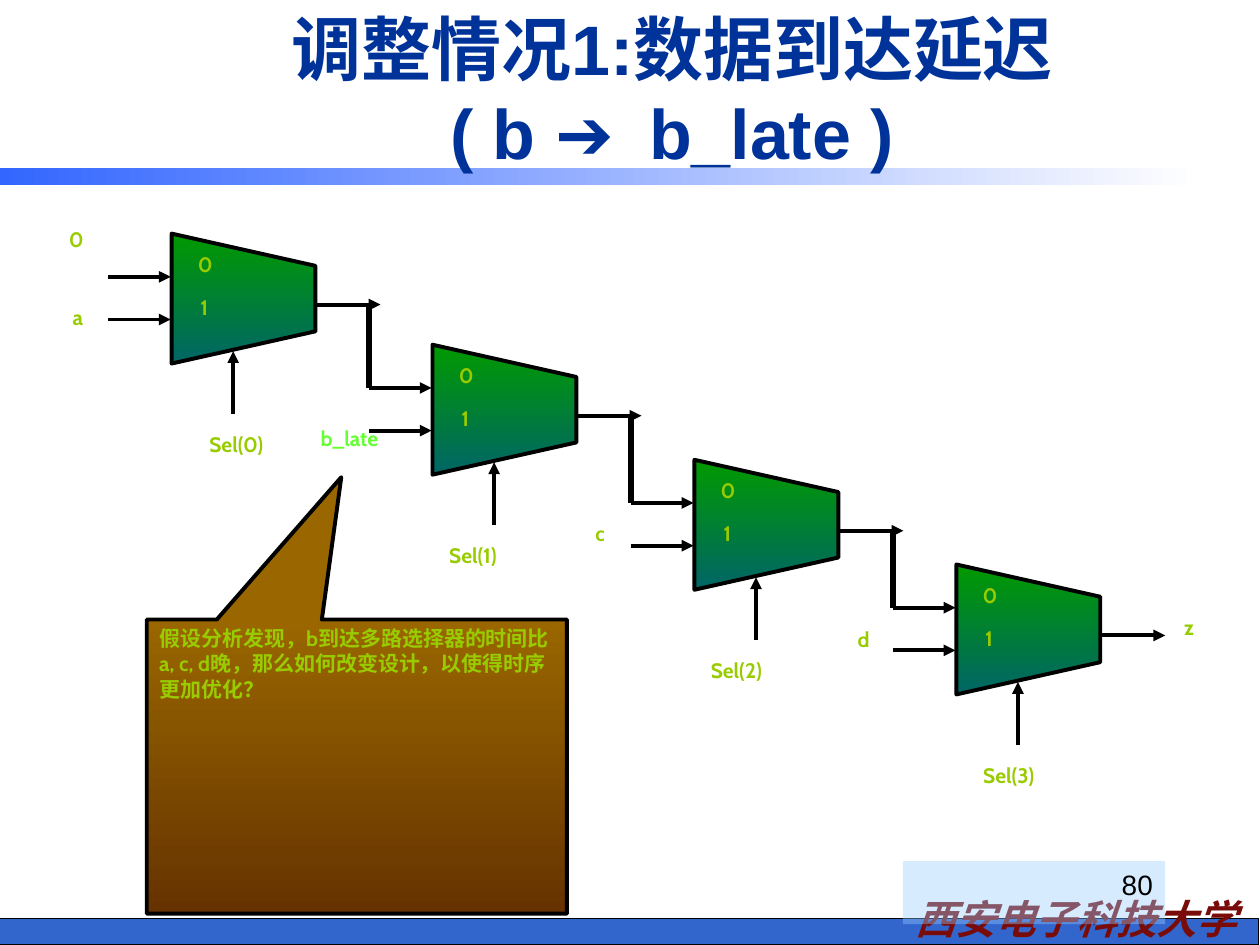
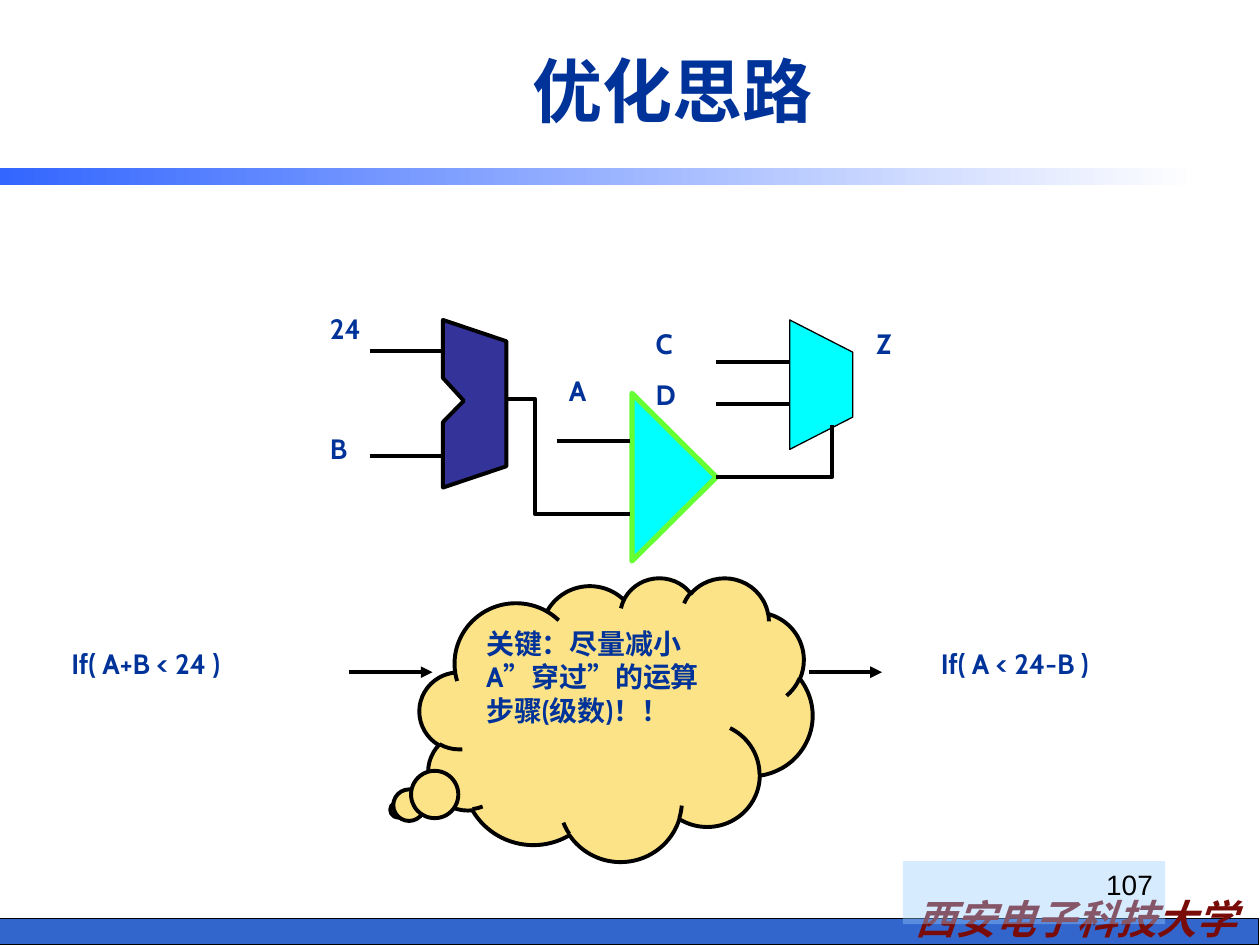
from dataclasses import dataclass
from lxml.etree import SubElement
from pptx import Presentation
from pptx.dml.color import RGBColor
from pptx.enum.shapes import MSO_CONNECTOR as Link, MSO_SHAPE as Kind
from pptx.enum.text import MSO_ANCHOR as Anchor, MSO_AUTO_SIZE as Fit, PP_ALIGN as Align
from pptx.oxml.ns import qn
from pptx.util import Cm, Pt

RGB = RGBColor.from_string


@dataclass(frozen=True)
class Theme:
    black = RGB("000000")
    navy = RGB("003399")
    bar = RGB("3366CC")
    red = RGB("790C09")
    sky = RGB("99CCFF")
    lime = RGB("99CC00")
    neon = RGB("66FF33")
    cyan = RGB("00FFFF")
    indigo = RGB("333399")
    cream = RGB("FCE388")
    fade = (RGB("3366FF"), RGB("FFFFFF"))
    green = (RGB("009900"), RGB("006666"))
    brown = (RGB("996600"), RGB("663300"))
    head, foot, note, small = Pt(40), Pt(23), Pt(16), Pt(12)
    thin, line, thick = Pt(0.75), Pt(2.25), Pt(3)
    sans, body, han = "Arial", "Cabin", "Noto Sans CJK SC"


T = Theme()


def put(shape, words, size, tint, align=Align.LEFT, face=T.body, bold=True):
    frame = shape.text_frame
    frame.text = words
    frame.vertical_anchor = Anchor.TOP
    para = frame.paragraphs[0]
    para.alignment = align
    font = para.font
    font.size, font.name, font.bold = size, face, bold
    font.color.rgb = tint
    return frame


def wire(slide, x1, y1, x2, y2, width=T.line, arrow=False):
    link = slide.shapes.add_connector(Link.STRAIGHT, Cm(x1), Cm(y1), Cm(x2), Cm(y2))
    link.line.color.rgb = T.black
    link.line.width = width
    props = link.element.spPr
    if arrow:
        SubElement(props.find(qn("a:ln")), qn("a:tailEnd"), type="triangle")
    SubElement(props, qn("a:effectLst"))


deck = Presentation()
deck.slide_width, deck.slide_height = Cm(25.4), Cm(19.05)
faded = []  # shape, colour pair, angle

# Shared bars, school name, page number and title
heads = [("调整情况1:数据到达延迟\v( b ➔ b_late )", "80"), ("优化思路", "107")]
for words, page in heads:
    slide = deck.slides.add_slide(deck.slide_layouts[5])
    shapes = slide.shapes

    base = shapes.add_shape(Kind.RECTANGLE, Cm(-0.03), Cm(18.52), Cm(25.4), Cm(0.53))
    base.shadow.inherit = False
    base.fill.solid()
    base.fill.fore_color.rgb = T.bar
    base.line.color.rgb = T.black
    base.line.width = T.thin

    school = shapes.add_textbox(Cm(17.7), Cm(17.91), Cm(8), Cm(1.24))
    frame = put(school, "西安电子科技大学", T.foot, T.red, Align.CENTER, T.han)
    frame.word_wrap = True
    frame.paragraphs[0].font.italic = True

    band = shapes.add_shape(Kind.RECTANGLE, 0, Cm(3.38), Cm(24.16), Cm(0.36))
    band.shadow.inherit = False
    band.line.fill.background()
    faded.append((band, T.fade, 0))

    tag = shapes.add_shape(Kind.RECTANGLE, Cm(18.2), Cm(17.36), Cm(5.29), Cm(1.27))
    tag.shadow.inherit = False
    tag.line.fill.background()
    tag.fill.solid()
    tag.fill.fore_color.rgb = T.sky
    tint = tag.element.spPr.find(".//" + qn("a:srgbClr"))
    SubElement(tint, qn("a:alpha"), val="39000")
    put(tag, page, T.note, T.black, Align.RIGHT, T.sans, False)

    title = shapes.title
    title.left, title.top, title.width, title.height = Cm(3.39), Cm(0.42), Cm(20.32), Cm(2.75)
    frame = put(title, words, T.head, T.navy, Align.CENTER, T.sans)
    frame.vertical_anchor = Anchor.MIDDLE
    frame.auto_size = Fit.NONE
    title.element.getparent().append(title.element)

chain, idea = deck.slides

# Slide 1: chain of multiplexers
# left, top, input name, its left and top, its width, its colour, left of the Sel label
stages = [
    (3.46, 4.71, "a", 1.19, 6.02, 0.76, T.lime, 3.94),
    (8.72, 6.95, "b_late", 6.17, 8.46, 1.75, T.neon, 8.71),
    (14, 9.27, "c", 11.63, 10.36, 0.94, T.lime, 14.02),
    (19.28, 11.38, "d", 16.94, 12.5, 0.94, T.lime, 19.51),
]
labels = [("0", 1.14, 4.45, 0.76, T.lime), ("z", 23.5, 12.27, 0.94, T.lime)]
wide, high, slant, lead = 2.9, 2.62, 0.65, 1.28
ports, exit_y = (0.87, 1.73), 1.43
last = None
for num, (x, y, name, left, top, width, tint, sel) in enumerate(stages):
    pen = chain.shapes.build_freeform(Cm(x), Cm(y), 1)
    pen.add_line_segments([
        (Cm(x + wide), Cm(y + slant)),
        (Cm(x + wide), Cm(y + high - slant)),
        (Cm(x), Cm(y + high)),
    ])
    mux = pen.convert_to_shape()
    mux.shadow.inherit = False
    mux.line.color.rgb = T.black
    mux.line.width = T.line
    faded.append((mux, T.green, 270))
    for bit, port in enumerate(ports):
        wire(chain, x - lead, y + port, x - 0.02, y + port, arrow=True)
        labels.append((str(bit), x + 0.28, y + port - 0.63, 0.76, T.lime))
    wire(chain, x + 1.24, y + 3.64, x + 1.24, y + 2.37, arrow=True)
    wire(chain, x + wide + 0.04, y + exit_y, x + wide + 1.31, y + exit_y, arrow=True)
    if last is not None:
        wire(chain, x - lead, last, x - lead, y + ports[0], T.thick)
    last = y + exit_y
    labels += [(name, left, top, width, tint), (f"Sel({num})", sel, y + 3.86, 1.65, T.lime)]

for words, x, y, width, tint in labels:
    box = chain.shapes.add_textbox(Cm(x), Cm(y), Cm(width), Cm(0.76))
    put(box, words, T.small, tint, Align.CENTER).word_wrap = False

# Slide 1: question callout
ask = chain.shapes.add_shape(Kind.RECTANGULAR_CALLOUT, Cm(2.96), Cm(12.49), Cm(8.47), Cm(5.93))
ask.adjustments[0], ask.adjustments[1] = -0.037, -0.984
faded.append((ask, T.brown, 270))
put(ask, "假设分析发现，b到达多路选择器的时间比a, c, d晚，那么如何改变设计，以使得时序更加优化？",
    T.small, T.lime)

# Slide 2: adder, comparator, selector and bent wires
# points, fill, line colour, line width
parts = [
    ([(9.35, 8.08), (8.93, 7.62), (8.93, 6.45), (10.21, 6.88), (10.21, 9.4),
      (8.93, 9.83), (8.93, 8.51)], T.indigo, T.black, T.line),
    ([(12.74, 7.93), (12.74, 11.31), (14.44, 9.62)], T.cyan, T.neon, T.thick),
    ([(15.92, 9.06), (17.19, 8.41), (17.19, 7.1), (15.92, 6.45)], T.cyan, T.black, T.thin),
    ([(14.44, 9.62), (16.77, 9.62), (16.77, 8.56)], None, T.black, T.line),
    ([(10.21, 8.04), (10.79, 8.04), (10.79, 10.37), (12.7, 10.37)], None, T.black, T.line),
]
for spots, fill, edge, width in parts:
    first, *rest = [(Cm(x), Cm(y)) for x, y in spots]
    pen = idea.shapes.build_freeform(*first, 1)
    pen.add_line_segments(rest, close=fill is not None)
    part = pen.convert_to_shape()
    part.shadow.inherit = False
    part.line.color.rgb = edge
    part.line.width = width
    if fill is None:
        part.fill.background()
    else:
        part.fill.solid()
        part.fill.fore_color.rgb = fill

# Slide 2: straight inputs and the two arrows
for x, y in [(7.45, 7.08), (7.45, 9.2), (11.22, 8.89), (14.44, 7.3), (14.44, 8.14)]:
    wire(idea, x, y, x + 1.48, y)
for x1, x2 in [(7.03, 8.72), (16.3, 17.78)]:
    wire(idea, x1, 13.55, x2, 13.55, arrow=True)

# Slide 2: labels
for words, x, y, width in [
    ("24", 6.4, 6.15, 1.14), ("B", 6.4, 8.57, 0.89), ("A", 11.22, 7.41, 0.89),
    ("C", 12.97, 6.45, 0.86), ("D", 12.97, 7.49, 0.91), ("Z", 17.42, 6.45, 0.84),
    ("If( A+B < 24 )", 1.19, 12.91, 4.11), ("If( A < 24-B )", 18.72, 12.91, 3.96),
]:
    box = idea.shapes.add_textbox(Cm(x), Cm(y), Cm(width), Cm(0.94))
    put(box, words, T.note, T.navy).word_wrap = False

# Slide 2: key point cloud
cloud = idea.shapes.add_shape(Kind.CLOUD_CALLOUT, Cm(8.46), Cm(11.64), Cm(7.92), Cm(5.72))
cloud.adjustments[0], cloud.adjustments[1] = -0.555, 0.319
cloud.fill.solid()
cloud.fill.fore_color.rgb = T.cream
put(cloud, "关键：尽量减小A”穿过”的运算步骤(级数)！！", T.note, T.navy)

# Callout outlines and all gradients
for shape in (ask, cloud):
    shape.shadow.inherit = False
    shape.line.color.rgb = T.black
    shape.line.width = T.line
for shape, pair, angle in faded:
    shape.fill.gradient()
    shape.fill.gradient_angle = angle
    for stop, tint in zip(shape.fill.gradient_stops, pair):
        stop.color.rgb = tint

deck.save("out.pptx")
